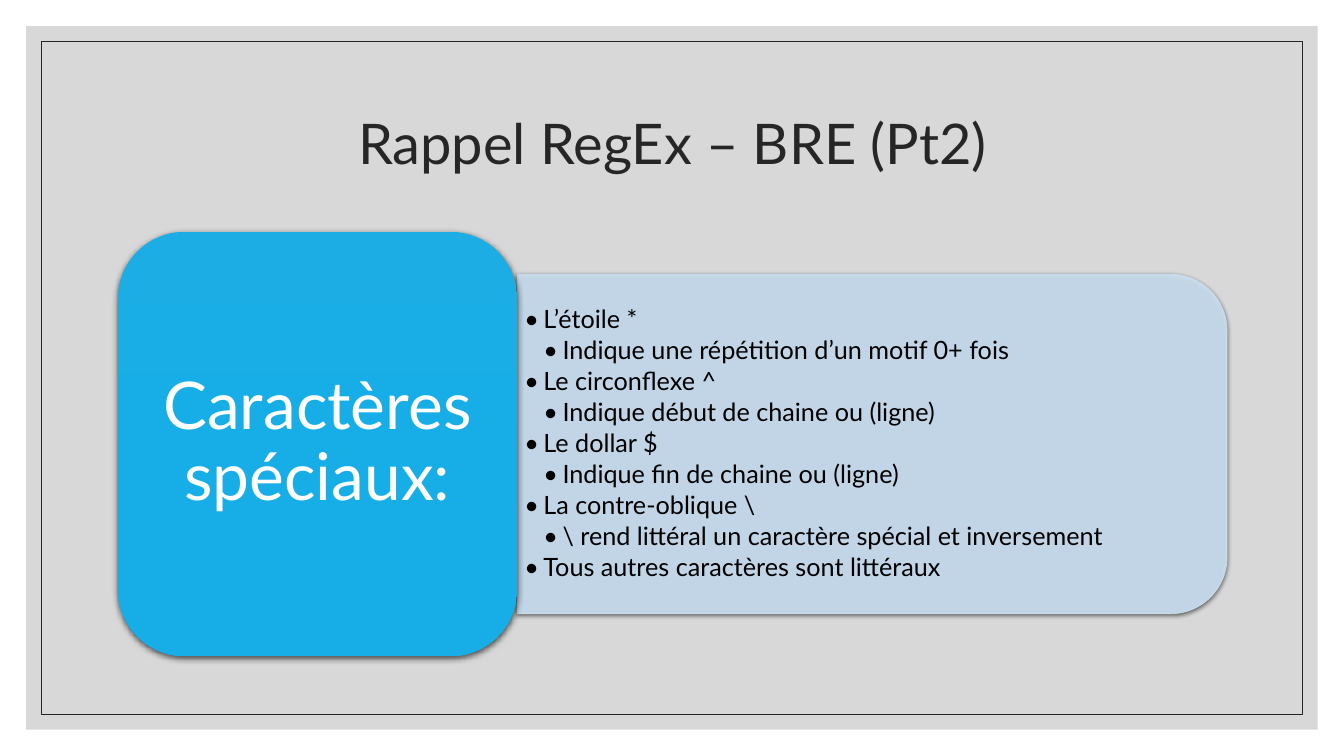
from lxml import etree
from pptx import Presentation
from pptx.dml.color import RGBColor
from pptx.enum.shapes import MSO_SHAPE
from pptx.enum.text import MSO_ANCHOR, PP_ALIGN
from pptx.oxml.ns import qn
from pptx.util import Inches, Pt

RECT, ROUND, ROUND_TOP = (MSO_SHAPE.RECTANGLE, MSO_SHAPE.ROUNDED_RECTANGLE,
                          MSO_SHAPE.ROUND_2_SAME_RECTANGLE)
MIDDLE = MSO_ANCHOR.MIDDLE
CENTER, LEFT = PP_ALIGN.CENTER, PP_ALIGN.LEFT
FONT = "Lato"
W, H = 13.33, 7.5
COLORS = {"mat": "BFBFBF", "dark": "262626", "panel": "CDE3F5", "black": "000000",
          "white": "FFFFFF", "blue_top": "1CADE4", "blue": "17AEE8"}
INDENT = 0.19
POINTS = [
    (1, "L’étoile *"),
    (2, "Indique une répétition d’un motif 0+ fois"),
    (1, "Le circonflexe ^"),
    (2, "Indique début de chaine ou (ligne)"),
    (1, "Le dollar $"),
    (2, "Indique fin de chaine ou (ligne)"),
    (1, "La contre-oblique \\"),
    (2, "\\ rend littéral un caractère spécial et inversement"),
    (1, "Tous autres caractères sont littéraux"),
]


def rgb(name):
    return RGBColor.from_string(COLORS[name])


def set_alpha(fill_element, percent):
    color = fill_element.find(".//" + qn("a:srgbClr"))
    etree.SubElement(color, qn("a:alpha"), val=str(percent * 1000))


def add_shape(s, kind, box, fill=None, line=None, alpha=100):
    sp = s.shapes.add_shape(kind, *map(Inches, box))
    sp.shadow.inherit = False
    if fill:
        sp.fill.solid()
        sp.fill.fore_color.rgb = rgb(fill)
        set_alpha(sp._element.spPr.find(qn("a:solidFill")), alpha)
    else:
        sp.fill.background()
    if line:
        sp.line.color.rgb = rgb(line)
        sp.line.width = Pt(0.5)
        set_alpha(sp._element.spPr.find(qn("a:ln")), alpha)
    else:
        sp.line.fill.background()
    return sp


def add_shadow(sp, blur, dist):
    effects = sp._element.spPr.find(qn("a:effectLst"))
    shadow = etree.SubElement(effects, qn("a:outerShdw"), blurRad=str(Pt(blur)),
                              dist=str(Pt(dist)), dir="5400000", rotWithShape="0")
    color = etree.SubElement(shadow, qn("a:srgbClr"), val=COLORS["black"])
    etree.SubElement(color, qn("a:alpha"), val="63000")


def setup_frame(sp, inset_x, inset_y):
    tf = sp.text_frame
    formats = {"word_wrap": True, "vertical_anchor": MIDDLE,
               "margin_left": Inches(inset_x), "margin_right": Inches(inset_x),
               "margin_top": Inches(inset_y), "margin_bottom": Inches(inset_y)}
    for name, value in formats.items():
        setattr(tf, name, value)
    return tf


def write(p, text, size, color, align=CENTER, after=0):
    formats = {"alignment": align, "line_spacing": 0.9, "space_after": Pt(after)}
    for name, value in formats.items():
        setattr(p, name, value)
    r = p.add_run()
    r.text = text
    for name, value in {"name": FONT, "size": Pt(size)}.items():
        setattr(r.font, name, value)
    r.font.color.rgb = rgb(color)


def add_bullet(p, level):
    pPr = p._p.get_or_add_pPr()
    pPr.set("marL", str(Inches(INDENT * level)))
    pPr.set("indent", str(-Inches(INDENT)))
    etree.SubElement(pPr, qn("a:buFont"), typeface=FONT)
    etree.SubElement(pPr, qn("a:buChar"), char="•")
    p.level = level


def draw_frame(s):
    for margin, fill, line, alpha in ((0.26, "mat", None, 60), (0.41, None, "dark", 100)):
        box = (margin, margin, W - 2 * margin, H - 2 * margin)
        add_shape(s, RECT, box, fill, line, alpha)


def draw_title(s, box):
    tf = setup_frame(s.shapes.add_textbox(*map(Inches, box)), 0.1, 0.05)
    write(tf.paragraphs[0], "Rappel RegEx – BRE (Pt2)", 40, "dark")


def draw_points(s, box):
    # Panel is a tall shape turned a quarter, so its round corners face right
    x, y, w, h = box
    turned = (x + (w - h) / 2, y + (h - w) / 2, h, w)
    sp = add_shape(s, ROUND_TOP, turned, "panel", "panel", 90)
    sp.rotation = 90
    add_shadow(sp, 3, 1)

    # Bulleted list
    text_box = (x, y + h * 0.05, w - h * 0.05, h * 0.9)
    tf = setup_frame(s.shapes.add_textbox(*map(Inches, text_box)), 0.07, 0.04)
    for i, (level, text) in enumerate(POINTS):
        p = tf.add_paragraph() if i else tf.paragraphs[0]
        add_bullet(p, level)
        write(p, text, 18, "black", LEFT, 2.7)


def draw_heading(s, box):
    sp = add_shape(s, ROUND, box)
    sp.fill.gradient()
    sp.fill.gradient_angle = 270
    for stop, color, position in zip(sp.fill.gradient_stops, ("blue_top", "blue"), (0, 0.5)):
        stop.color.rgb = rgb(color)
        stop.position = position
    add_shadow(sp, 4.5, 1.5)
    tf = setup_frame(sp, 0.2, 0.1)
    write(tf.paragraphs[0], "Caractères spéciaux:", 47, "white")


def main():
    prs = Presentation()
    prs.slide_width, prs.slide_height = Inches(W), Inches(H)
    s = prs.slides.add_slide(prs.slide_layouts[6])

    # Heading takes 36 % of the content width; the panel is 80 % of its height
    left, top, width, height = 1.17, 2.3, 11, 4.21
    split = width * 0.36
    draw_frame(s)
    draw_title(s, (left, 0.7, width, 1.5))
    draw_points(s, (left + split, top + height * 0.1, width - split, height * 0.8))
    draw_heading(s, (left, top, split, height))
    prs.save("out.pptx")


if __name__ == "__main__":
    main()
